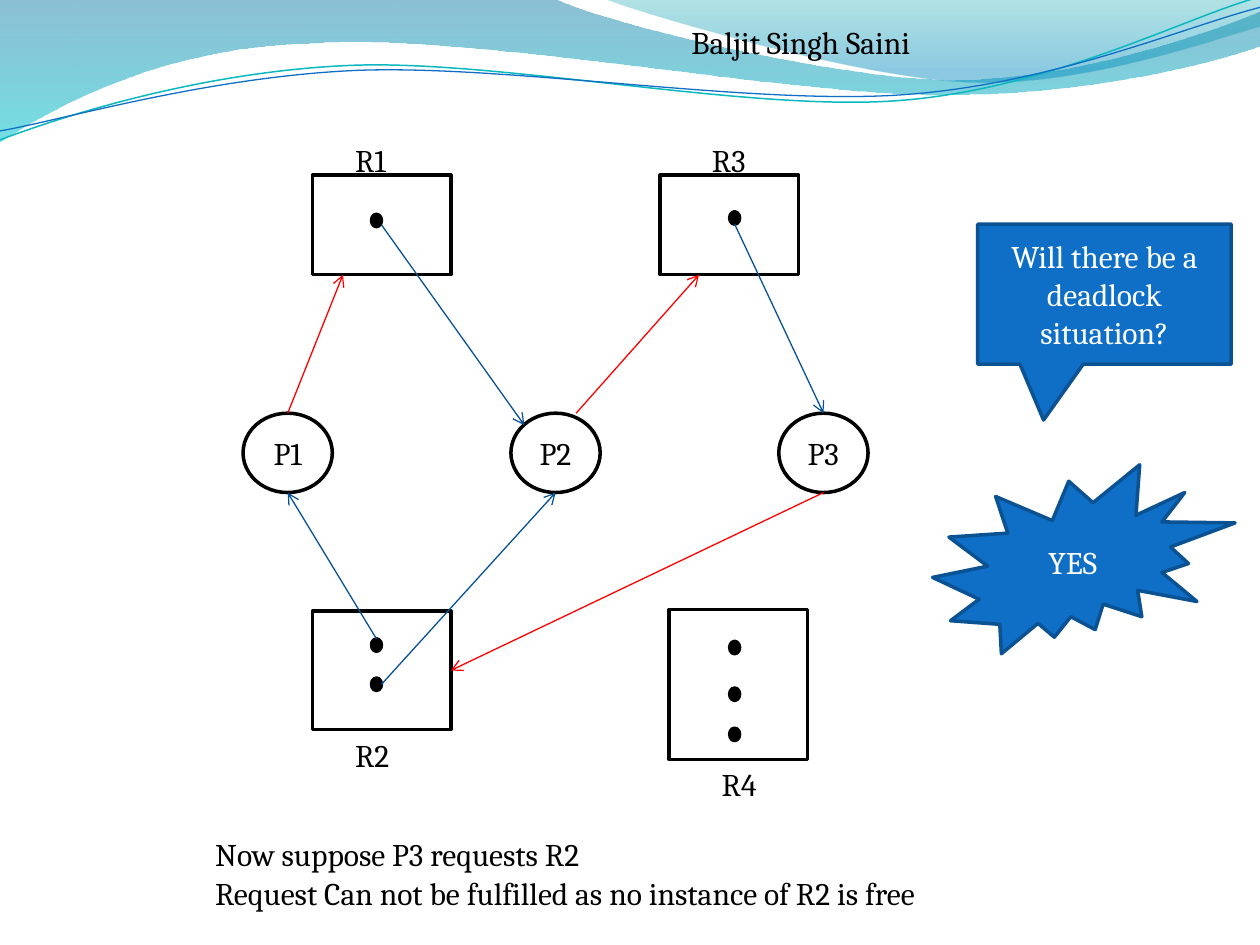
from pptx import Presentation
from pptx.dml.color import RGBColor as RGB
from pptx.enum.shapes import MSO_CONNECTOR as LINK, MSO_SHAPE as SHAPE
from pptx.enum.text import MSO_ANCHOR as ANCHOR, PP_ALIGN as ALIGN
from pptx.oxml.ns import qn
from pptx.util import Cm, Pt
from lxml.etree import SubElement

THEME = {
    "font": "Cambria", "size": 18,
    "ink": "000000", "paper": "FFFFFF", "callout": "0F6FC6", "callout_edge": "0B5292",
    "request": "FF0000", "assignment": "095295",
    "outline": 2, "arrow": 0.75,
}

# Lengths are in centimetres. A segment of one point is straight, of three a Bezier curve.
FILLED_WAVES = [
    {"start": (0, 0),
     "segments": [[(11.18, -0.03)],
                  [(12.09, 0.43), (16.87, 1.6), (19.25, 1.6)],
                  [(21.67, 1.6), (24.33, 0.66), (25.4, 0.23)],
                  [(25.43, 0.91)],
                  [(24.97, 1.12), (22.1, 1.93), (18.95, 1.91)],
                  [(15.8, 1.91), (9.7, 0.71), (6.53, 0.86)],
                  [(3.28, 0.91), (1.17, 2.11), (-0.03, 2.87)]],
     "stops": [(0, "0074A1", 45), (1, "00C6CF", 55)]},
    {"start": (12.17, -0.03),
     "segments": [[(12.93, 0.28), (17.32, 1.57), (19.53, 1.65)],
                  [(21.74, 1.75), (24.41, 0.81), (25.4, 0.53)],
                  [(25.4, 0)]],
     "stops": [(0, "00A1A9", 30), (0.8, "008BBF", 45)]},
]
LINE_WAVES = [
    {"start": (0, 2.82),
     "segments": [[(1.22, 2.36), (4.01, 1.45), (7.04, 1.32)],
                  [(10.03, 1.19), (15.06, 2.26), (18.11, 2.03)],
                  [(21.16, 1.8), (23.83, 0.38), (25.35, -0.05)]],
     "line": ("0AB8BF", 0.85)},
    {"start": (0, 2.64),
     "segments": [[(1.19, 2.44), (4.17, 1.55), (7.19, 1.42)],
                  [(10.24, 1.3), (15.16, 2.13), (18.21, 1.91)],
                  [(21.23, 1.7), (23.9, 0.53), (25.4, 0.15)]],
     "line": ("0F6FC6", 0.75)},
]

# name: box, label corner, left of the instance dots, tops of the dots
RESOURCES = {
    "R1": ((6.3, 3.53, 2.79, 2.01), (6.91, 2.72), 7.49, [4.32]),
    "R2": ((6.3, 12.32, 2.79, 2.39), (6.91, 14.71), 7.49, [12.88, 13.67]),
    "R3": ((13.31, 3.53, 2.79, 2.01), (14.1, 2.72), 14.71, [4.27]),
    "R4": ((13.49, 12.29, 2.79, 3.02), (14.3, 15.3), 14.71, [12.93, 13.87, 14.68]),
}
PROCESSES = ["P1", "P2", "P3"]
PROCESS_LEFT, PROCESS_TOP, PROCESS_STEP = 4.9, 8.33, 5.4
PROCESS_SIZE, DOT_SIZE, LABEL_SIZE = (1.8, 1.6), (0.2, 0.25), (1.4, 1.02)

# (object, fraction across, fraction down) at each end
ARROWS = [
    ("request", ("P1", 0.5, 0), ("R1", 0.22, 1)),
    ("assignment", ("R2.2", 1, 0.5), ("P2", 0.5, 1)),
    ("assignment", ("R3.1", 0.5, 1), ("P3", 0.5, 0)),
    ("assignment", ("R2.1", 0.5, 0), ("P1", 0.5, 1)),
    ("assignment", ("R1.1", 1, 0.85), ("P2", 0.15, 0.15)),
    ("request", ("P2", 0.73, 0), ("R3", 0.28, 1)),
    ("request", ("P3", 0.5, 1), ("R2", 1, 0.5)),
]
CALLOUTS = [
    (SHAPE.RECTANGULAR_CALLOUT, (19.71, 4.52, 5.11, 2.82), "Will there be a deadlock situation?",
     (-0.24, 0.9)),
    (SHAPE.EXPLOSION2, (18.8, 9.37, 6.1, 3.81), "YES", ()),
]
TEXTS = [
    ("Now suppose P3 requests R2", (4.09, 16.71, 16.21, 1.02)),
    ("Request Can not be fulfilled as no instance of R2 is free", (4.09, 17.5, 16.21, 1.02)),
    ("Baljit Singh Saini", (13.69, 0.33, 11.2, 1.02)),
]


def color(name):
    return RGB.from_string(THEME.get(name, name))


def set_line(shape, line_color, width):
    shape.line.color.rgb = color(line_color)
    shape.line.width = Pt(width)


def write(shape, text, text_color="ink", **layout):
    for name, value in {"word_wrap": True, **layout}.items():
        setattr(shape.text_frame, name, value)
    para = shape.text_frame.paragraphs[0]
    span = para.add_run()
    span.text = text
    for name, value in {"name": THEME["font"], "size": Pt(THEME["size"])}.items():
        setattr(span.font, name, value)
    span.font.color.rgb = color(text_color)
    return para


def add_text(page, text, box):
    write(page.shapes.add_textbox(*map(Cm, box)), text)


def add_shape(page, kind, box, fill=None, edge="ink", text=None, text_color="ink"):
    shape = page.shapes.add_shape(kind, *map(Cm, box))
    shape.shadow.inherit = False
    if fill:
        shape.fill.solid()
        shape.fill.fore_color.rgb = color(fill)
    else:
        shape.fill.background()
    set_line(shape, edge, THEME["outline"])
    if text:
        para = write(shape, text, text_color, vertical_anchor=ANCHOR.MIDDLE)
        para.alignment = ALIGN.CENTER
    return shape


def add_wave(page, wave, close):
    """Lay straight steps through all points, then join each triple into a Bezier curve."""
    start, *points = [tuple(Cm(value) for value in point)
                      for point in [wave["start"], *sum(wave["segments"], [])]]
    builder = page.shapes.build_freeform(*start)
    builder.add_line_segments(points, close=close)
    shape = builder.convert_to_shape()
    shape.shadow.inherit = False
    steps = iter(list(shape._element.iter(qn("a:lnTo"))))
    for segment in wave["segments"]:
        first, *others = [next(steps) for _ in segment]
        if others:
            first.tag = qn("a:cubicBezTo")
        for step in others:
            first.append(step[0])
            step.getparent().remove(step)
    return shape


def add_filled_wave(page, wave):
    shape = add_wave(page, wave, close=True)
    shape.line.fill.background()
    shape.fill.gradient()
    shape.fill.gradient_angle = 270
    for stop, (position, stop_color, _) in zip(shape.fill.gradient_stops, wave["stops"]):
        stop.position = position
        stop.color.rgb = color(stop_color)
    tints = shape._element.spPr.iter(qn("a:srgbClr"))
    for tint, (_, _, opacity) in zip(tints, wave["stops"]):
        SubElement(tint, qn("a:alpha"), val=str(opacity * 1000))


def add_line_wave(page, wave):
    shape = add_wave(page, wave, close=False)
    shape.fill.background()
    set_line(shape, *wave["line"])


def add_arrow(page, kind, start, end):
    arrow = page.shapes.add_connector(LINK.STRAIGHT, *map(Cm, (*start, *end)))
    set_line(arrow, kind, THEME["arrow"])
    SubElement(arrow.line._get_or_add_ln(), qn("a:tailEnd"), type="arrow")
    SubElement(arrow._element.spPr, qn("a:effectLst"))


def main():
    deck = Presentation()
    deck.slide_width, deck.slide_height = Cm(25.4), Cm(19.05)
    page = deck.slides.add_slide(deck.slide_layouts[6])

    for wave in FILLED_WAVES:
        add_filled_wave(page, wave)
    for wave in LINE_WAVES:
        add_line_wave(page, wave)

    places = {}
    for name, (box, label, dot_left, dot_tops) in RESOURCES.items():
        places[name] = box
        add_shape(page, SHAPE.RECTANGLE, box)
        add_text(page, name, (*label, *LABEL_SIZE))
        for number, top in enumerate(dot_tops, 1):
            dot = places[f"{name}.{number}"] = (dot_left, top, *DOT_SIZE)
            add_shape(page, SHAPE.OVAL, dot, fill="ink")
    for index, name in enumerate(PROCESSES):
        box = places[name] = (PROCESS_LEFT + index * PROCESS_STEP, PROCESS_TOP, *PROCESS_SIZE)
        add_shape(page, SHAPE.OVAL, box, text=name)

    def anchor(name, across, down):
        left, top, width, height = places[name]
        return left + across * width, top + down * height

    for kind, start, end in ARROWS:
        add_arrow(page, kind, anchor(*start), anchor(*end))
    for kind, box, text, adjustments in CALLOUTS:
        callout = add_shape(page, kind, box, "callout", "callout_edge", text, "paper")
        for index, value in enumerate(adjustments):
            callout.adjustments[index] = value
    for text, box in TEXTS:
        add_text(page, text, box)

    deck.save("out.pptx")


if __name__ == "__main__":
    main()
